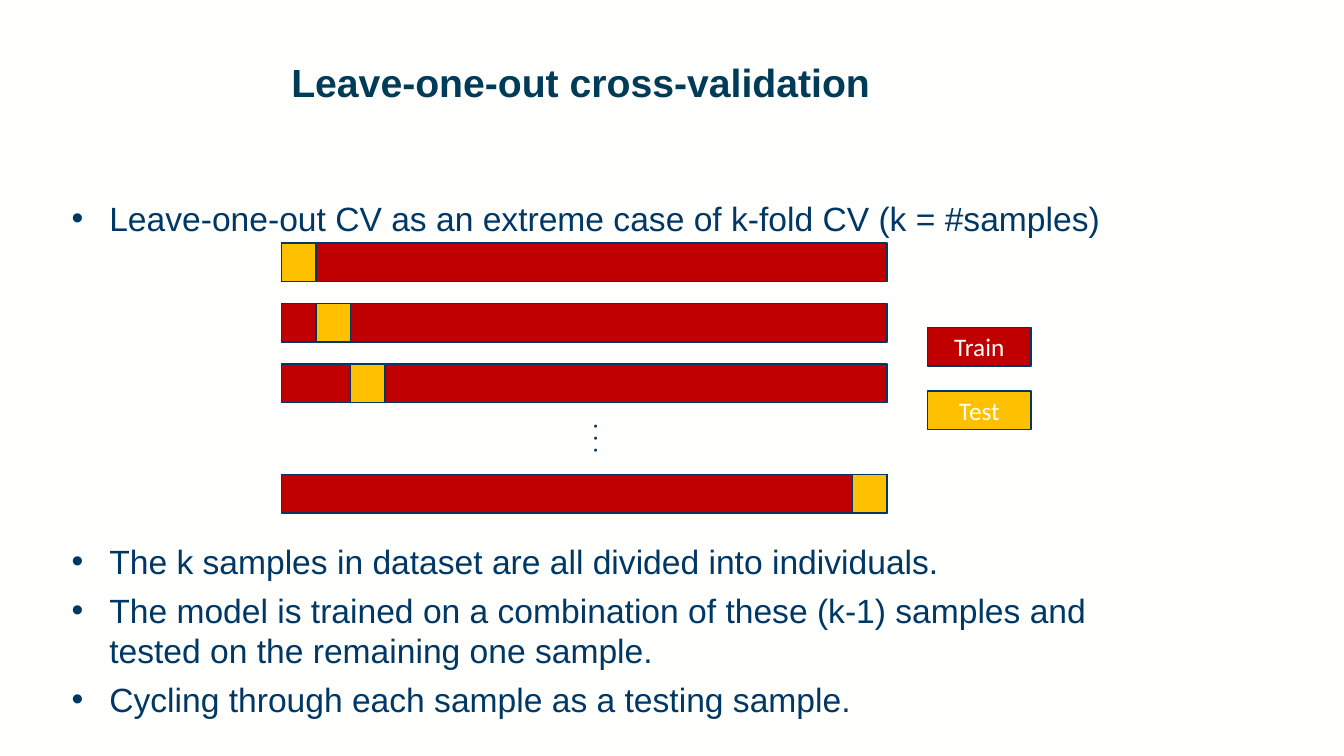
import pptx
import pptx.util
import pptx.dml.color
import pptx.enum.shapes
import pptx.enum.text
import pptx.oxml.ns
from dataclasses import dataclass
from lxml import etree

Pt = pptx.util.Pt
RGB = pptx.dml.color.RGBColor.from_string


@dataclass(frozen=True)
class Theme:
    back: str = "FFFFFE"
    title: str = "003B58"
    ink: str = "003865"
    train: str = "C00000"
    test: str = "FFC000"
    title_size: int = 28
    body_size: int = 24
    label_size: int = 18
    body_font: str = "Arial"
    label_font: str = "Calibri"


theme = Theme()

prs = pptx.Presentation()
prs.slide_width, prs.slide_height = Pt(960), Pt(540)
s = prs.slides.add_slide(prs.slide_layouts[6])
s.background.fill.solid()
s.background.fill.fore_color.rgb = RGB(theme.back)


def add_text(x, y, w, h, lines, size, font, color, wrap=True, bold=False, bullet_gap=None):
    sp = s.shapes.add_textbox(Pt(x), Pt(y), Pt(w), Pt(h))
    tf = sp.text_frame
    tf.word_wrap = wrap
    tf.text = "\n".join(lines)
    for p in tf.paragraphs:
        if bullet_gap is not None:
            pPr = p._p.get_or_add_pPr()
            pPr.set("marL", str(Pt(27)))
            pPr.set("indent", str(-Pt(27)))
            p.space_after = Pt(bullet_gap)
            etree.SubElement(pPr, pptx.oxml.ns.qn("a:buFont"), typeface="Arial")
            etree.SubElement(pPr, pptx.oxml.ns.qn("a:buChar"), char="•")
        f = p.runs[0].font
        f.size, f.name, f.bold = Pt(size), font, bold
        f.color.rgb = RGB(color)
    return sp


def add_box(x, y, w, h, color, label=""):
    sp = s.shapes.add_shape(pptx.enum.shapes.MSO_SHAPE.RECTANGLE, Pt(x), Pt(y), Pt(w), Pt(h))
    sp.shadow.inherit = False
    sp.fill.solid()
    sp.fill.fore_color.rgb = RGB(color)
    sp.line.color.rgb = RGB(theme.ink)
    sp.line.width = Pt(1)
    if label:
        tf = sp.text_frame
        tf.text = label
        tf.vertical_anchor = pptx.enum.text.MSO_ANCHOR.MIDDLE
        p = tf.paragraphs[0]
        p.alignment = pptx.enum.text.PP_ALIGN.CENTER
        f = p.runs[0].font
        f.size, f.name = Pt(theme.label_size), theme.label_font
        f.color.rgb = RGB(theme.back)


# Title
sp = add_text(201, 41.8, 725, 70, ["Leave-one-out cross-validation"],
              theme.title_size, theme.body_font, theme.title, bold=True)
sp.text_frame.paragraphs[0].line_spacing = 0.9

# Opening bullet
add_text(44, 137.5, 757, 36,
         ["Leave-one-out CV as an extreme case of k-fold CV (k = #samples)"],
         theme.body_size, theme.body_font, theme.ink, wrap=False, bullet_gap=12)

# Folds: (top, left offset of the test sample)
left, bar_w, bar_h, sample_w = 201, 432.5, 27.4, 24.7
top, pitch = 173.5, 43.3
folds = [(top + i * pitch, i * sample_w) for i in range(3)]
folds.append((339, bar_w - sample_w))
for y, offset in folds:
    add_box(left, y, bar_w, bar_h, theme.train)
    add_box(left + offset, y, sample_w, bar_h, theme.test)

# Dots for the folds in between
sp = add_text(413.3, 298.8, 36, 29.5, [". . ."],
              theme.label_size, theme.label_font, theme.ink, wrap=False)
sp.rotation = 90

# Legend
for i, (label, color) in enumerate([("Train", theme.train), ("Test", theme.test)]):
    add_box(662.4, 234 + i * 45.2, 74.2, bar_h, color, label)

# Closing bullets
add_text(44, 383, 769, 135.5, [
    "The k samples in dataset are all divided into individuals.",
    "The model is trained on a combination of these (k-1) samples and "
    "tested on the remaining one sample.",
    "Cycling through each sample as a testing sample.",
], theme.body_size, theme.body_font, theme.ink, bullet_gap=6)

prs.save("out.pptx")
